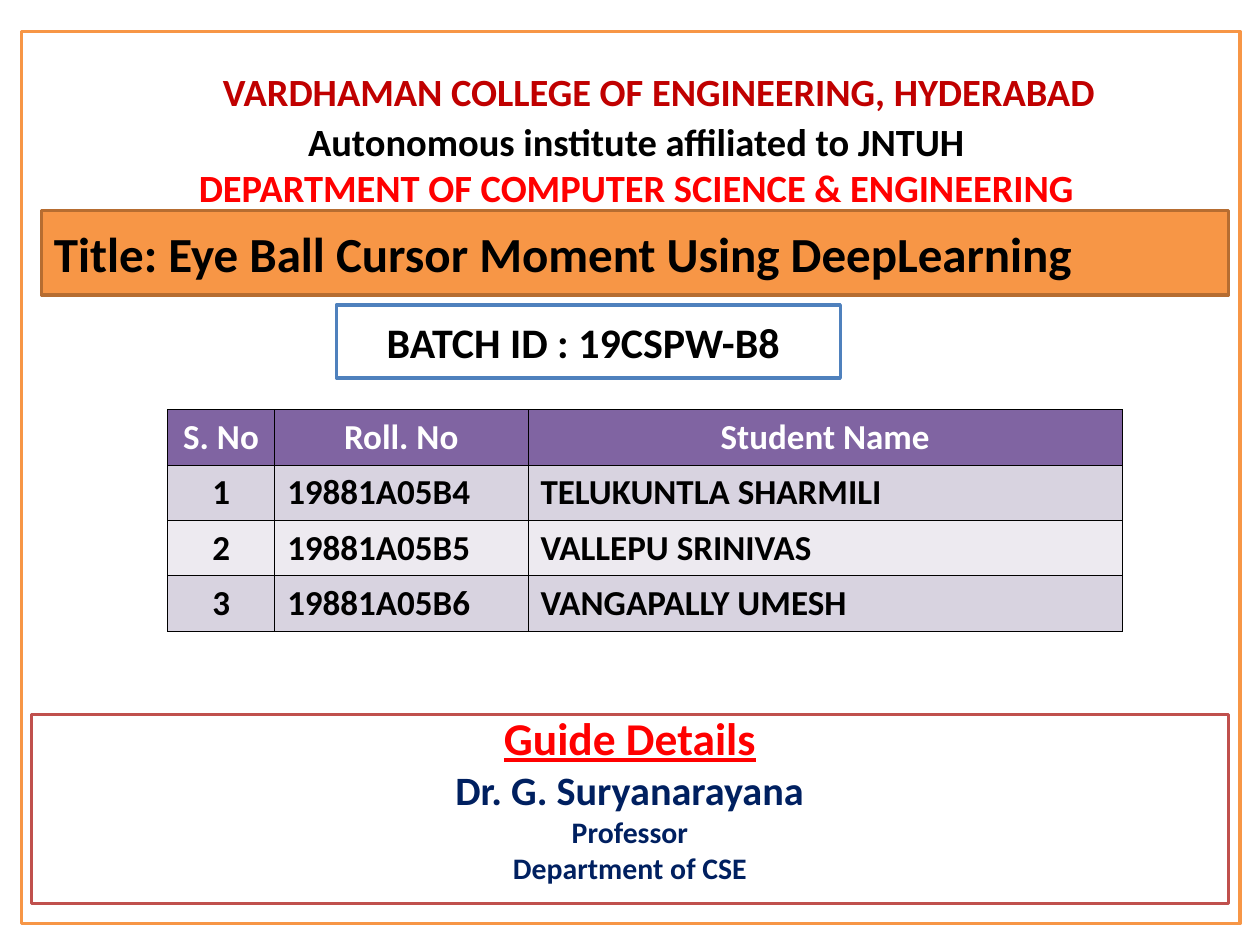
import pptx
import pptx.util
import pptx.dml.color
import pptx.enum.shapes
import pptx.enum.text
import pptx.oxml.ns
from dataclasses import dataclass
from lxml import etree

Inches, Pt = pptx.util.Inches, pptx.util.Pt
ALIGN = pptx.enum.text.PP_ALIGN
ANCHOR = pptx.enum.text.MSO_ANCHOR


@dataclass(frozen=True)
class Theme:
    font: str = "Calibri"
    black: str = "000000"
    white: str = "FFFFFF"
    crimson: str = "C00000"
    red: str = "FF0000"
    navy: str = "002060"
    orange: str = "F79646"
    orange_edge: str = "B66D31"
    blue_edge: str = "4F81BD"
    red_edge: str = "C0504D"
    table_head: str = "8064A2"
    table_bands: tuple = ("D8D3E0", "EDEAF0")
    edge_width: float = 2
    grid_width: float = 0.45
    heading_size: int = 22
    title_size: int = 28
    batch_size: int = 24
    table_size: int = 20
    guide_size: int = 26
    guide_name_size: int = 23
    guide_role_size: int = 17


THEME = Theme()


def rgb(value):
    return pptx.dml.color.RGBColor.from_string(value)


def write_line(paragraph, text, size, color, align=ALIGN.CENTER, underline=False):
    paragraph.text = text
    paragraph.alignment = align
    font = paragraph.runs[0].font
    font.name, font.size, font.bold = THEME.font, Pt(size), True
    font.color.rgb = rgb(color)
    if underline:
        font.underline = True


def add_panel(slide, box, fill, edge):
    panel = slide.shapes.add_shape(pptx.enum.shapes.MSO_SHAPE.RECTANGLE, *map(Inches, box))
    panel.shadow.inherit = False
    panel.fill.solid()
    panel.fill.fore_color.rgb = rgb(fill)
    panel.line.color.rgb = rgb(edge)
    panel.line.width = Pt(THEME.edge_width)
    panel.text_frame.word_wrap = True
    return panel


def add_college_heading(slide, box):
    heading = slide.shapes.add_textbox(*map(Inches, box)).text_frame
    heading.word_wrap = True
    heading.vertical_anchor = ANCHOR.BOTTOM
    heading.margin_top = heading.margin_bottom = 0
    lines = [
        ("VARDHAMAN COLLEGE OF ENGINEERING, HYDERABAD", THEME.crimson),
        ("Autonomous institute affiliated to JNTUH", THEME.black),
        ("DEPARTMENT OF COMPUTER SCIENCE & ENGINEERING", THEME.red),
    ]
    for index, (text, color) in enumerate(lines):
        line = heading.paragraphs[0] if index == 0 else heading.add_paragraph()
        write_line(line, text, THEME.heading_size, color)
    # The college name sits right of centre, the other lines slightly left
    college, affiliation, department = heading.paragraphs
    college._p.get_or_add_pPr().set("marL", str(Inches(0.3)))
    affiliation.space_before = Pt(2.5)
    for line in (affiliation, department):
        line._p.get_or_add_pPr().set("marR", str(Inches(0.06)))


def add_guide_details(slide, box):
    guide = add_panel(slide, box, THEME.white, THEME.red_edge).text_frame
    guide.vertical_anchor = ANCHOR.TOP
    lines = [
        ("Guide Details", THEME.guide_size, THEME.red, 0),
        ("Dr. G. Suryanarayana", THEME.guide_name_size, THEME.navy, 5.8),
        ("Professor", THEME.guide_role_size, THEME.navy, 4.2),
        ("Department of CSE", THEME.guide_role_size, THEME.navy, 4.2),
    ]
    for index, (text, size, color, gap) in enumerate(lines):
        line = guide.paragraphs[0] if index == 0 else guide.add_paragraph()
        write_line(line, text, size, color, underline=index == 0)
        line.line_spacing = 0.8
        line.space_before = Pt(gap)


def add_batch(slide, box):
    batch = add_panel(slide, box, THEME.white, THEME.blue_edge).text_frame
    batch.vertical_anchor = ANCHOR.MIDDLE
    batch.margin_right = Inches(0.18)
    write_line(batch.paragraphs[0], "BATCH ID : 19CSPW-B8", THEME.batch_size, THEME.black)


def add_project_title(slide, box):
    title = add_panel(slide, box, THEME.orange, THEME.orange_edge).text_frame
    title.vertical_anchor = ANCHOR.MIDDLE
    write_line(title.paragraphs[0], "Title: Eye Ball Cursor Moment Using DeepLearning",
               THEME.title_size, THEME.black, ALIGN.LEFT)


def add_cell_borders(cell):
    qn = pptx.oxml.ns.qn
    properties = cell._tc.get_or_add_tcPr()
    for position, side in enumerate(("a:lnL", "a:lnR", "a:lnT", "a:lnB")):
        border = etree.Element(qn(side), w=str(Pt(THEME.grid_width)))
        fill = etree.SubElement(border, qn("a:solidFill"))
        etree.SubElement(fill, qn("a:srgbClr"), val=THEME.black)
        properties.insert(position, border)


def add_student_table(slide, box):
    rows = [
        ("S. No", "Roll. No", "Student Name"),
        ("1", "19881A05B4", "TELUKUNTLA SHARMILI"),
        ("2", "19881A05B5", "VALLEPU SRINIVAS"),
        ("3", "19881A05B6", "VANGAPALLY UMESH"),
    ]
    students = slide.shapes.add_table(len(rows), len(rows[0]), *map(Inches, box)).table
    for column, width in zip(students.columns, (0.85, 2.01, 4.72)):
        column.width = Inches(width)
    for r, row in enumerate(rows):
        students.rows[r].height = Inches(box[3] / len(rows))
        header = r == 0
        for c, text in enumerate(row):
            cell = students.cell(r, c)
            cell.fill.solid()
            cell.fill.fore_color.rgb = rgb(
                THEME.table_head if header else THEME.table_bands[(r - 1) % 2])
            write_line(cell.text_frame.paragraphs[0], text, THEME.table_size,
                       THEME.white if header else THEME.black,
                       ALIGN.CENTER if header or c == 0 else ALIGN.LEFT)
            add_cell_borders(cell)


def build_cover(slide, box):
    left, top, width, height = box

    def inside(dx, dy, w, h):
        return left + dx, top + dy, w, h

    # Page frame
    add_panel(slide, box, THEME.white, THEME.orange)
    # College and department
    add_college_heading(slide, inside(0.91, 0.5, 8, 0.92))
    # Guide
    add_guide_details(slide, inside(0.08, 5.42, width - 0.17, 1.5))
    # Batch and project title
    add_batch(slide, inside(2.5, 2.17, 4, 0.58))
    add_project_title(slide, inside(0.16, 1.42, width - 0.25, 0.67))
    # Students
    add_student_table(slide, inside(1.16, 3, 7.58, 1.76))


def main():
    deck = pptx.Presentation()
    deck.slide_width, deck.slide_height = Inches(10), Inches(7.5)
    slide = deck.slides.add_slide(deck.slide_layouts[6])
    build_cover(slide, (0.17, 0.25, 9.67, 7.08))
    deck.save("out.pptx")


if __name__ == "__main__":
    main()
